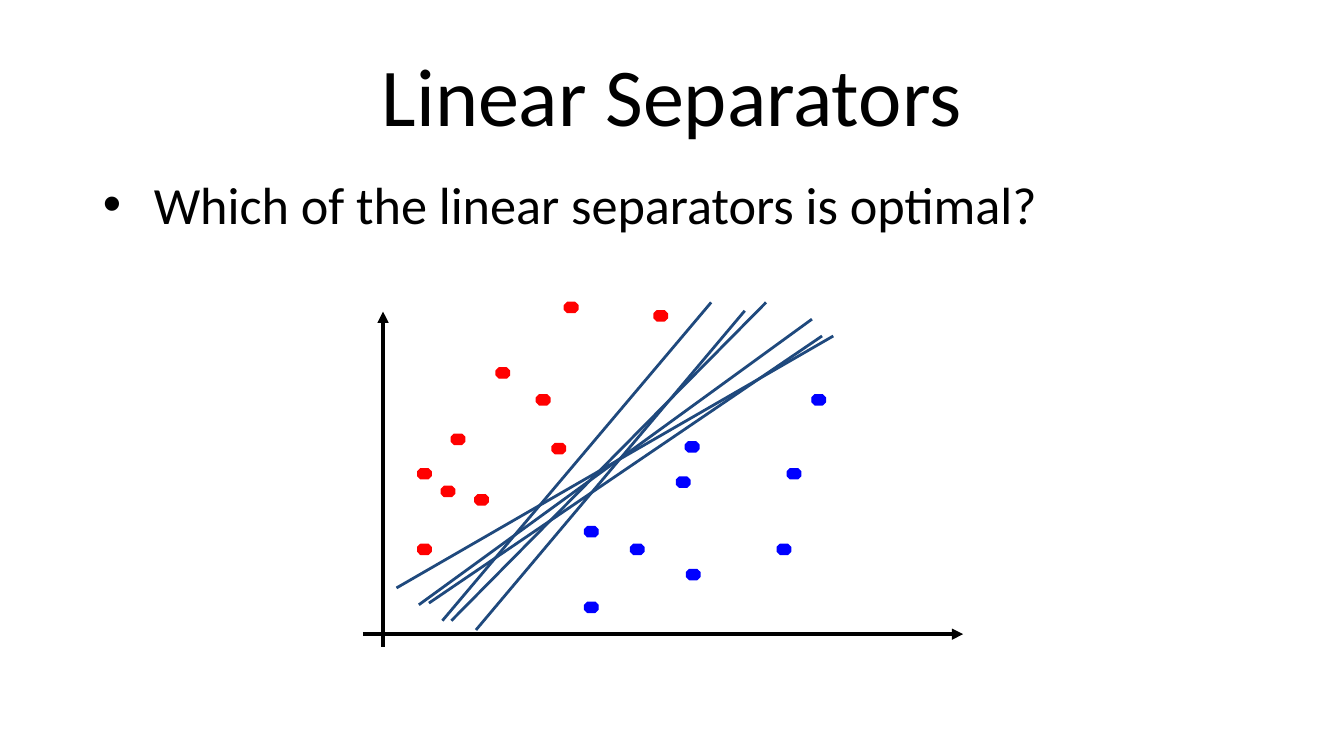
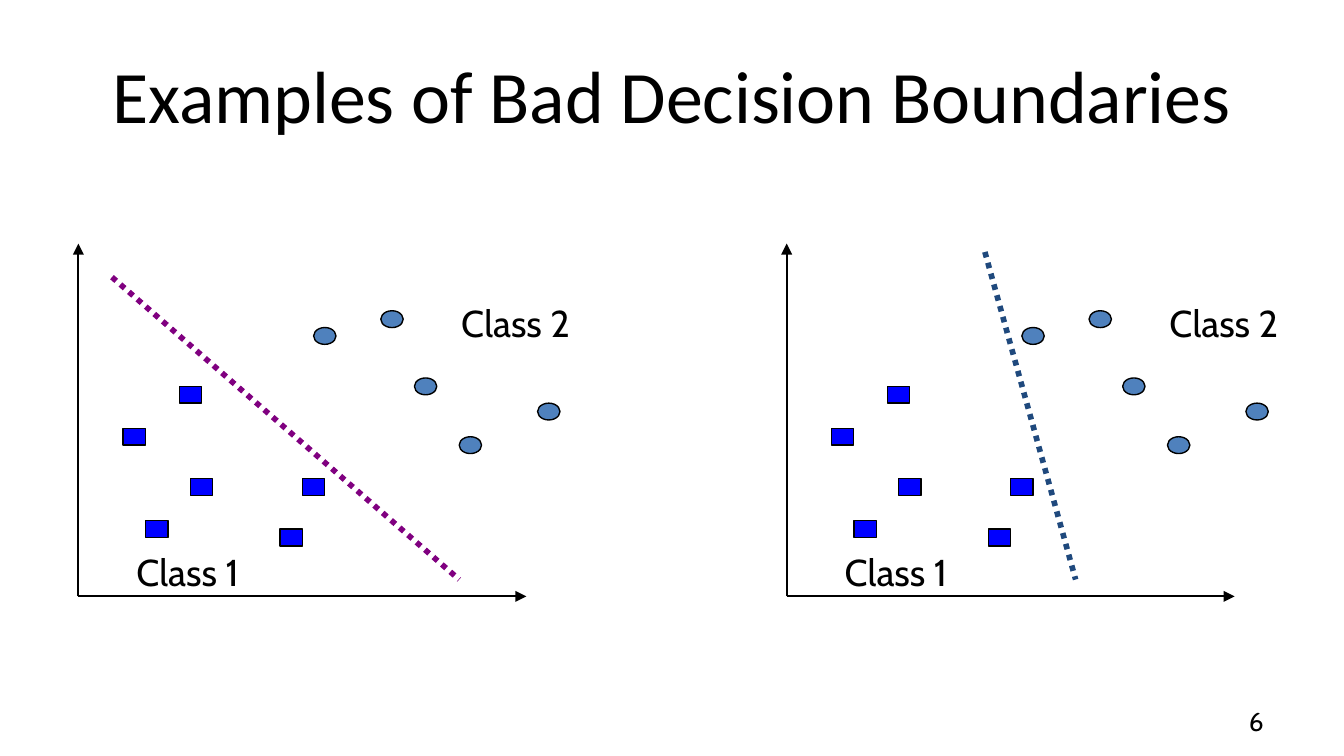
from pptx import Presentation
from pptx import util as u
from pptx.dml.color import RGBColor
from pptx.enum import dml, shapes, text
from pptx.oxml.ns import qn
from lxml import etree

BLACK = RGBColor(0x00, 0x00, 0x00)
RED = RGBColor(0xFF, 0x00, 0x00)
BLUE = RGBColor(0x00, 0x00, 0xFF)
STEEL = RGBColor(0x4F, 0x81, 0xBD)
NAVY = RGBColor(0x1F, 0x49, 0x7D)
PURPLE = RGBColor(0x80, 0x00, 0x80)
HEAD, NOTE = "Calibri", "Cabin"
LEFT, MID, RIGHT = text.PP_ALIGN.LEFT, text.PP_ALIGN.CENTER, text.PP_ALIGN.RIGHT
TOP, CENTER = text.MSO_ANCHOR.TOP, text.MSO_ANCHOR.MIDDLE

deck = Presentation()
deck.slide_width = u.Inches(10)
deck.slide_height = u.Inches(5.625)
COL = deck.slide_width / 120
ROW = deck.slide_height / 90


def write(slide, words, x, y, w, h, size, font, align=LEFT, anchor=TOP, wrap=True):
    box = slide.shapes.add_textbox(int(x * COL), int(y * ROW), int(w * COL), int(h * ROW))
    frame = box.text_frame
    frame.word_wrap = wrap
    frame.vertical_anchor = anchor
    para = frame.paragraphs[0]
    para.text = words
    para.alignment = align
    para.font.size = u.Pt(size)
    para.font.name = font
    para.font.color.rgb = BLACK
    return para


def draw(slide, x1, y1, x2, y2, color, width, arrow=False, dots=False):
    line = slide.shapes.add_connector(
        shapes.MSO_CONNECTOR.STRAIGHT,
        int(x1 * COL), int(y1 * ROW), int(x2 * COL), int(y2 * ROW))
    line.line.color.rgb = color
    line.line.width = u.Pt(width)
    if dots:
        line.line.dash_style = dml.MSO_LINE.ROUND_DOT
    props = line._element.spPr
    if arrow:
        etree.SubElement(props.find(qn("a:ln")), qn("a:tailEnd"), type="triangle")
    etree.SubElement(props, qn("a:effectLst"))


blank = deck.slide_layouts[6]
first, second = deck.slides.add_slide(blank), deck.slides.add_slide(blank)
for slide, title, size in (
    (first, "Linear Separators", 44),
    (second, "Examples of Bad Decision Boundaries", 39.6),
):
    write(slide, title, 6, 3.7, 108, 15, size, HEAD, MID, CENTER)

para = write(first, "Which of the linear separators is optimal?", 8, 19.7, 108, 66, 28, HEAD)
para.space_before = u.Pt(5.6)
props = para._p.get_or_add_pPr()
props.set("marL", str(u.Inches(0.38)))
props.set("indent", str(-u.Inches(0.38)))
etree.SubElement(props, qn("a:buFont"), typeface="Arial")
etree.SubElement(props, qn("a:buChar"), char="•")
props.append(props.find(qn("a:defRPr")))
write(second, "6", 86, 83.4, 28, 4.8, 14, NOTE, RIGHT, CENTER)

reds = [(47.9, 47), (40.3, 51.7), (42.4, 58.9), (37.3, 64.8), (44.3, 43.8),
        (37.3, 55.8), (39.4, 57.9), (49.3, 52.8), (50.4, 36), (58.4, 37)]
blues = [(61.2, 52.6), (56.3, 64.8), (69.4, 64.8), (52.2, 71.7), (60.4, 56.8),
         (52.2, 62.7), (61.3, 67.8), (70.3, 55.8), (72.5, 47)]
rounds = [(34, 37), (37, 45), (48, 48), (28, 39), (41, 52)]
squares = [(11, 51), (27, 57), (25, 63), (17, 57), (13, 62), (16, 46)]

OCT, OVAL, RECT = (shapes.MSO_SHAPE.OCTAGON, shapes.MSO_SHAPE.OVAL,
                   shapes.MSO_SHAPE.RECTANGLE)
SHIFT = 63.24
marks = [(first, OCT, RED, RED, 1.2, 0, reds), (first, OCT, BLUE, BLUE, 1.2, 0, blues)]
for shift in (0, SHIFT):
    marks += [(second, OVAL, STEEL, BLACK, 2, shift, rounds),
              (second, RECT, BLUE, BLACK, 2, shift, squares)]
for slide, kind, fill, edge, size, shift, spots in marks:
    for x, y in spots:
        mark = slide.shapes.add_shape(
            kind, int((x + shift) * COL), int(y * ROW), int(size * COL), int(size * ROW))
        mark.shadow.inherit = False
        mark.fill.solid()
        mark.fill.fore_color.rgb = fill
        mark.line.color.rgb = edge
        mark.line.width = u.Pt(0.75)

draw(first, 34.2, 77, 34.2, 37.1, BLACK, 2, arrow=True)
draw(first, 32.4, 75.5, 86, 75.5, BLACK, 2, arrow=True)
for ends in (
    (38.3, 71.8, 73.4, 40), (40.3, 73.9, 68.4, 36), (35.4, 70, 74.4, 40),
    (42.5, 75, 66.5, 37), (39.5, 73.9, 63.5, 36), (37.4, 72, 72.5, 38),
):
    draw(first, *ends, NAVY, 1.5)

for shift, color, x1, y1, x2 in ((0, PURPLE, 10, 33, 41), (SHIFT, NAVY, 24.7, 30, 32.8)):
    draw(second, shift + 7, 71, shift + 7, 29, BLACK, 1, arrow=True)
    draw(second, shift + 7, 71, shift + 47, 71, BLACK, 1, arrow=True)
    for words, x, y in (("Class 1", 11, 64.6), ("Class 2", 40, 35)):
        write(second, words, shift + x, y, 12.8, 7, 20, NOTE, wrap=False)
    draw(second, shift + x1, y1, shift + x2, 69, color, 3, dots=True)

deck.save("out.pptx")
